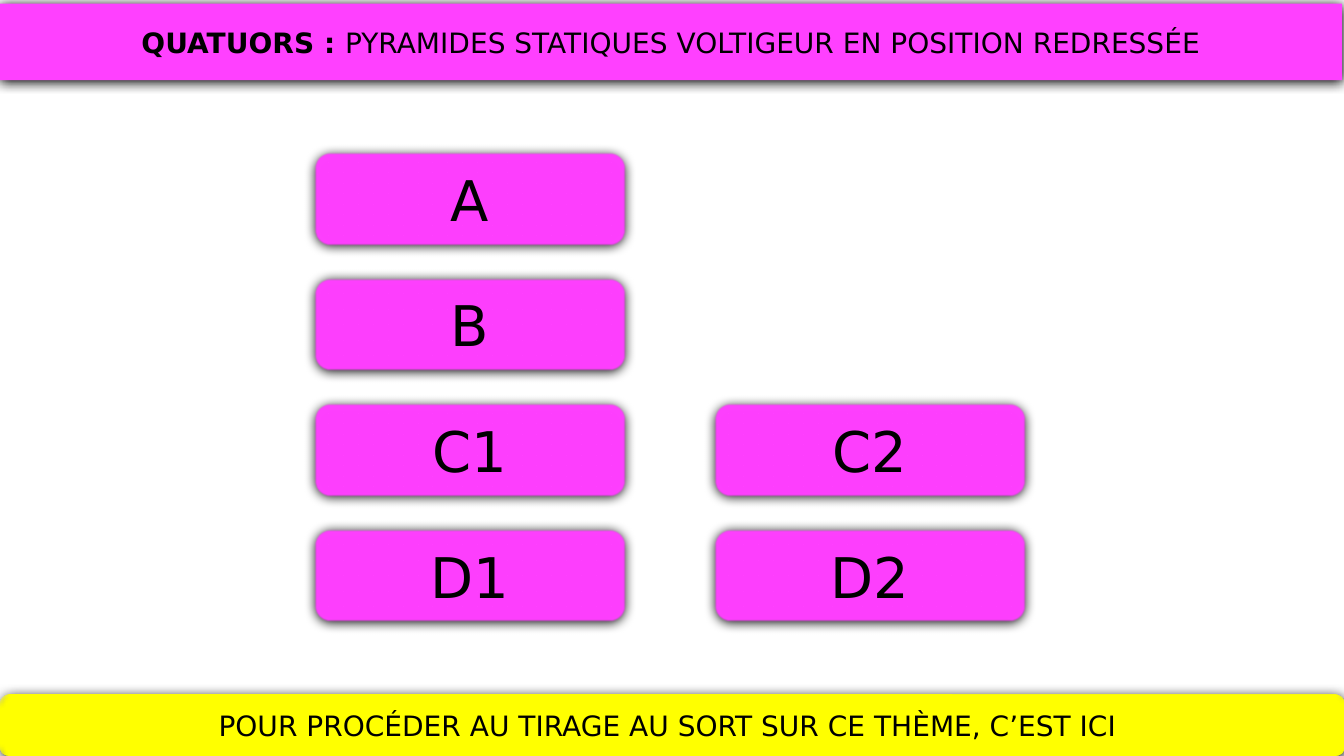
from lxml.etree import SubElement
from pptx import Presentation
from pptx.dml.color import RGBColor
from pptx.enum.shapes import MSO_SHAPE
from pptx.enum.text import MSO_ANCHOR, MSO_AUTO_SIZE, PP_ALIGN
from pptx.oxml.ns import qn
from pptx.util import Pt

PINK, YELLOW, BLACK = "FF40FF", "FFFF00", "000000"
SLIDE_WIDTH, SLIDE_HEIGHT = 960, 540
ROWS = [["A"], ["B"], ["C1", "C2"], ["D1", "D2"]]


def color(hex_code):
    return RGBColor.from_string(hex_code)


def add_effects(shape, soft_edge):
    """Give the shape a soft black shadow below it and, if asked, soft edges."""
    effects = SubElement(shape._element.spPr, qn("a:effectLst"))
    shadow = SubElement(effects, qn("a:outerShdw"), blurRad=str(Pt(8.5)),
                        dist=str(Pt(1)), dir="5400000", algn="t", rotWithShape="0")
    SubElement(shadow, qn("a:srgbClr"), val=BLACK)
    if soft_edge:
        SubElement(effects, qn("a:softEdge"), rad=str(Pt(1)))


def style_panel(shape, fill, soft_edge=True):
    shape.fill.solid()
    shape.fill.fore_color.rgb = color(fill)
    shape.line.fill.background()
    add_effects(shape, soft_edge)


def write_text(shape, runs, size):
    """Write one centred paragraph from (text, bold) pairs."""
    frame = shape.text_frame
    frame.word_wrap = True
    frame.auto_size = MSO_AUTO_SIZE.NONE
    frame.vertical_anchor = MSO_ANCHOR.MIDDLE
    paragraph = frame.paragraphs[0]
    paragraph.alignment = PP_ALIGN.CENTER
    for text, bold in runs:
        run = paragraph.add_run()
        run.text = text
        font_format = {"name": "DejaVu Sans", "size": Pt(size), "bold": bold}
        for attribute, value in font_format.items():
            setattr(run.font, attribute, value)
        run.font.color.rgb = color(BLACK)


def add_panel(slide, box, text, fill, size):
    panel = slide.shapes.add_shape(MSO_SHAPE.ROUNDED_RECTANGLE, *map(Pt, box))
    style_panel(panel, fill)
    write_text(panel, [(text, False)], size)


def place_title(slide, box):
    title = slide.shapes.title
    for attribute, value in zip(("left", "top", "width", "height"), box):
        setattr(title, attribute, Pt(value))
    geometry = SubElement(title._element.spPr, qn("a:prstGeom"), prst="roundRect")
    SubElement(geometry, qn("a:avLst"))
    style_panel(title, PINK, soft_edge=False)
    write_text(title, [("QUATUORS : ", True),
                       ("PYRAMIDES STATIQUES VOLTIGEUR EN POSITION REDRESSÉE", False)], 20)


def add_theme_grid(slide, box):
    """Spread the theme panels over the box, flush with its edges."""
    left, top, width, height = box
    panel_width, panel_height = 221.8, 66.2
    column_step = width - panel_width
    row_step = (height - panel_height) / (len(ROWS) - 1)
    for row, labels in enumerate(ROWS):
        for column, label in enumerate(labels):
            panel_box = (left + column * column_step, top + row * row_step,
                         panel_width, panel_height)
            add_panel(slide, panel_box, label, PINK, 40)


def main():
    presentation = Presentation()
    presentation.slide_width = Pt(SLIDE_WIDTH)
    presentation.slide_height = Pt(SLIDE_HEIGHT)
    slide = presentation.slides.add_slide(presentation.slide_layouts[5])
    place_title(slide, (0, 2.6, 958.5, 54.7))
    add_theme_grid(slide, (224.8, 109, 507.5, 335.3))
    add_panel(slide, (0, 496, SLIDE_WIDTH, 44),
              "POUR PROCÉDER AU TIRAGE AU SORT SUR CE THÈME, C’EST ICI ", YELLOW, 20)
    presentation.save("out.pptx")


if __name__ == "__main__":
    main()
